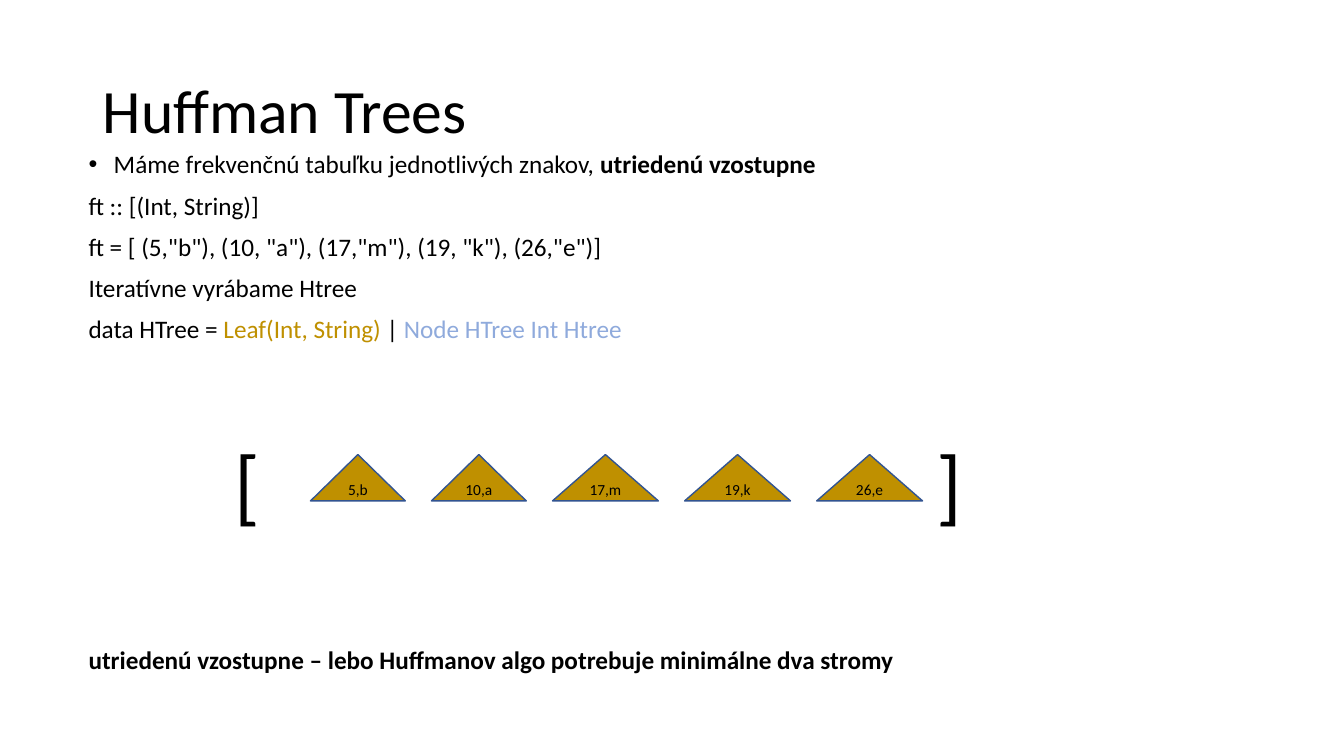
from dataclasses import dataclass

from lxml import etree
from pptx import Presentation
from pptx.dml.color import RGBColor
from pptx.enum.shapes import MSO_SHAPE
from pptx.enum.text import MSO_ANCHOR, PP_ALIGN
from pptx.oxml.ns import qn
from pptx.util import Inches, Pt

TRIANGLE = MSO_SHAPE.ISOSCELES_TRIANGLE
TOP, MIDDLE = MSO_ANCHOR.TOP, MSO_ANCHOR.MIDDLE
LEFT, CENTER = PP_ALIGN.LEFT, PP_ALIGN.CENTER


@dataclass(frozen=True)
class Theme:
    font: str = "Calibri"
    ink: str = "000000"
    leaf: str = "BF9000"
    node: str = "8FAADC"
    outline: str = "325491"
    title_size: int = 44
    body_size: int = 18
    leaf_size: int = 11
    bracket_size: int = 60


THEME = Theme()


def rgb(color):
    return RGBColor.from_string(color)


def add_run(paragraph, text, size, color=THEME.ink, bold=False):
    run = paragraph.add_run()
    run.text = text
    font = run.font
    font.name, font.size, font.bold = THEME.font, Pt(size), bold
    font.color.rgb = rgb(color)


def add_text(slide, box, lines, size, anchor=TOP, align=LEFT, spacing=0.9):
    """Each line is a list of (text, color, bold) runs."""
    frame = slide.shapes.add_textbox(*map(Inches, box)).text_frame
    frame.word_wrap = True
    frame.vertical_anchor = anchor
    for index, line in enumerate(lines):
        paragraph = frame.add_paragraph() if index else frame.paragraphs[0]
        paragraph.alignment = align
        paragraph.line_spacing = spacing
        paragraph.space_before = Pt(10 if index else 0)
        for text, color, bold in line:
            add_run(paragraph, text, size, color, bold)
    return frame


def add_bullet(paragraph):
    properties = paragraph._p.get_or_add_pPr()
    properties.set("marL", str(Inches(0.25)))
    properties.set("indent", str(Inches(-0.25)))
    etree.SubElement(properties, qn("a:buFont")).set("typeface", "Arial")
    etree.SubElement(properties, qn("a:buChar")).set("char", "•")


def add_leaf(slide, label, left, width):
    leaf = slide.shapes.add_shape(
        TRIANGLE, Inches(left), Inches(4.51), Inches(width), Inches(0.46))
    leaf.shadow.inherit = False
    leaf.fill.solid()
    leaf.fill.fore_color.rgb = rgb(THEME.leaf)
    leaf.line.color.rgb = rgb(THEME.outline)
    leaf.line.width = Pt(1)
    frame = leaf.text_frame
    frame.margin_left = frame.margin_right = 0
    frame.margin_top = frame.margin_bottom = 0
    frame.vertical_anchor = MIDDLE
    frame.paragraphs[0].alignment = CENTER
    add_run(frame.paragraphs[0], label, THEME.leaf_size)


def main():
    prs = Presentation()
    prs.slide_width, prs.slide_height = Inches(13.33), Inches(7.5)
    slide = prs.slides.add_slide(prs.slide_layouts[6])
    ink = THEME.ink

    # Title
    add_text(slide, (0.92, 0.4, 11.5, 1.45), [[("Huffman Trees", ink, False)]],
             THEME.title_size, MIDDLE)

    # Frequency table and tree type
    definitions = [
        [("Máme frekvenčnú tabuľku jednotlivých znakov, ", ink, False),
         ("utriedenú vzostupne", ink, True)],
        [("ft :: [(Int, String)]", ink, False)],
        [('ft = [ (5,"b"), (10, "a"), (17,"m"), (19, "k"), (26,"e")]', ink, False)],
        [("Iteratívne vyrábame Htree", ink, False)],
        [("data HTree = ", ink, False), ("Leaf(Int, String) ", THEME.leaf, False),
         ("| ", ink, False), ("Node HTree Int Htree", THEME.node, False)],
    ]
    body = add_text(slide, (0.78, 1.46, 11.63, 2.1), definitions, THEME.body_size)
    add_bullet(body.paragraphs[0])

    # List brackets
    for bracket, center in (("[", 2.45), ("]", 9.42)):
        add_text(slide, (center - 0.3, 4.23, 0.6, 1.12), [[(bracket, ink, False)]],
                 THEME.bracket_size, align=CENTER, spacing=1.0)

    # Sorted leaves, evenly spaced
    left, gap = 3.08, 0.26
    for label, width in (("5,b", 0.94), ("10,a", 0.94), ("17,m", 1.05),
                         ("19,k", 1.05), ("26,e", 1.05)):
        add_leaf(slide, label, left, width)
        left += width + gap

    # Reason for sorting
    reason = "utriedenú vzostupne – lebo Huffmanov algo potrebuje minimálne dva stromy"
    add_text(slide, (0.78, 6.38, 11.63, 0.4), [[(reason, ink, True)]], THEME.body_size)

    prs.save("out.pptx")


main()
